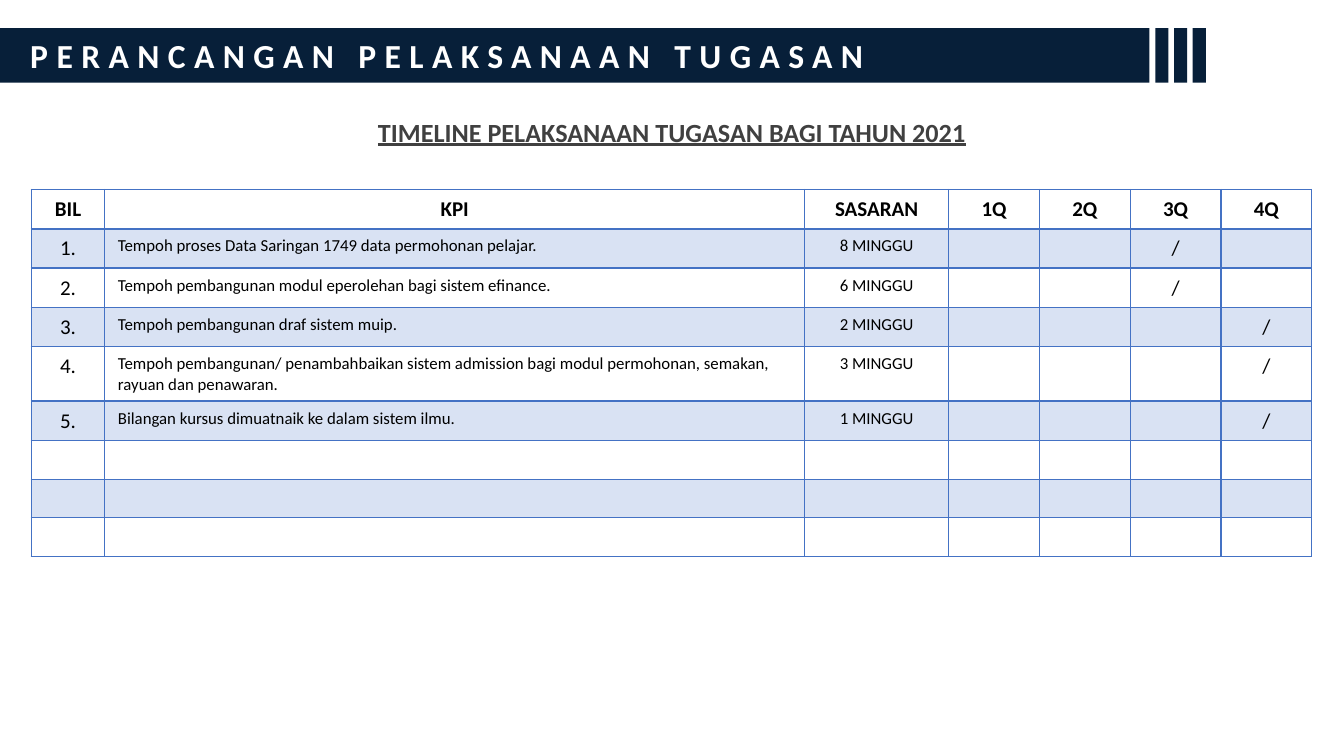
import pptx
import pptx.dml.color
import pptx.enum.shapes
import pptx.enum.text
import pptx.oxml.ns
import pptx.util
from lxml import etree

Inches = pptx.util.Inches
Pt = pptx.util.Pt
RGBColor = pptx.dml.color.RGBColor
ALIGN = pptx.enum.text.PP_ALIGN
ANCHOR = pptx.enum.text.MSO_ANCHOR
qn = pptx.oxml.ns.qn

NAVY = RGBColor(0x07, 0x1F, 0x39)
BLUE = RGBColor(0x44, 0x72, 0xC4)
GREY = RGBColor(0x40, 0x40, 0x40)
BLACK = RGBColor(0, 0, 0)
WHITE = RGBColor(0xFF, 0xFF, 0xFF)
FONT = "Calibri"

PAGE_WIDTH, PAGE_HEIGHT = 13.33, 7.5
BANNER_TOP, BANNER_WIDTH, BANNER_HEIGHT = 0.28, 11.4, 0.54
BAR_COUNT, BAR_LEFT, BAR_WIDTH, BAR_STEP = 3, 11.46, 0.13, 0.185
TABLE_LEFT, TABLE_TOP, ROW_HEIGHT = 0.31, 1.88, 0.385

QUARTERS = ["1Q", "2Q", "3Q", "4Q"]
HEADINGS = ["BIL", "KPI", "SASARAN"] + QUARTERS
COLUMN_WIDTHS = [0.73, 6.94, 1.43] + [0.9] * len(QUARTERS)
ROW_COUNT = 8
# Task, target in weeks, quarter due
TASKS = [
    ("Tempoh proses Data Saringan 1749 data permohonan pelajar.", 8, "3Q"),
    ("Tempoh pembangunan modul eperolehan bagi sistem efinance.", 6, "3Q"),
    ("Tempoh pembangunan draf sistem muip.", 2, "4Q"),
    ("Tempoh pembangunan/ penambahbaikan sistem admission bagi modul "
     "permohonan, semakan, rayuan dan penawaran.", 3, "4Q"),
    ("Bilangan kursus dimuatnaik ke dalam sistem ilmu.", 1, "4Q"),
]


def write(frame, text, size, color, bold=False, align=ALIGN.CENTER):
    para = frame.paragraphs[0]
    para.alignment = align
    para.font.name = FONT
    para.font.size = Pt(size)
    para.font.bold = bold
    para.font.color.rgb = color
    para.add_run().text = text
    return para


def place(box, left, top, width, height):
    box.left, box.top = Inches(left), Inches(top)
    box.width, box.height = Inches(width), Inches(height)


def add_banner(page):
    title = page.shapes.title
    place(title, 0, BANNER_TOP, BANNER_WIDTH, BANNER_HEIGHT)
    title.fill.solid()
    title.fill.fore_color.rgb = NAVY
    frame = title.text_frame
    frame.auto_size = pptx.enum.text.MSO_AUTO_SIZE.NONE
    frame.vertical_anchor = ANCHOR.MIDDLE
    para = write(frame, "PERANCANGAN PELAKSANAAN TUGASAN", 24, WHITE, True, ALIGN.LEFT)
    properties = para._p.get_or_add_pPr()
    properties.set("marL", str(Inches(0.2)))
    properties.set("indent", "0")
    para.runs[0]._r.get_or_add_rPr().set("spc", "600")


def add_bars(page):
    for index in range(BAR_COUNT):
        bar = page.shapes.add_shape(
            pptx.enum.shapes.MSO_SHAPE.RECTANGLE,
            Inches(BAR_LEFT + index * BAR_STEP), Inches(BANNER_TOP),
            Inches(BAR_WIDTH), Inches(BANNER_HEIGHT))
        bar.shadow.inherit = False
        bar.fill.solid()
        bar.fill.fore_color.rgb = NAVY
        bar.line.fill.background()


def add_subtitle(page):
    box = page.shapes.add_textbox(0, Inches(0.95), Inches(PAGE_WIDTH), Inches(0.71))
    frame = box.text_frame
    frame.word_wrap = True
    frame.vertical_anchor = ANCHOR.MIDDLE
    para = write(frame, "TIMELINE PELAKSANAAN TUGASAN BAGI TAHUN 2021", 18.7, GREY, True)
    para.font.underline = True


def set_borders(cell, top, bottom):
    properties = cell._tc.get_or_add_tcPr()
    for side, width in (("L", 1), ("R", 1), ("T", top), ("B", bottom)):
        line = etree.SubElement(properties, qn(f"a:ln{side}"), w=str(Pt(width)))
        fill = etree.SubElement(line, qn("a:solidFill"))
        etree.SubElement(fill, qn("a:srgbClr"), val=str(BLUE))


def set_band(cell, shaded):
    if not shaded:
        cell.fill.background()
        return
    cell.fill.solid()
    cell.fill.fore_color.rgb = BLUE
    color = cell._tc.tcPr.find(qn("a:solidFill")).find(qn("a:srgbClr"))
    etree.SubElement(color, qn("a:alpha"), val="20000")


def fill_cell(cell, text, row, column):
    header = row == 0
    set_borders(cell, 2 if row == 1 else 1, 2 if header else 1)
    set_band(cell, row % 2 == 1)
    cell.margin_left = cell.margin_right = Inches(0.13)
    cell.margin_top = cell.margin_bottom = Inches(0.07 if text else 0.02)
    if not text:
        return
    cell.vertical_anchor = ANCHOR.MIDDLE if header else ANCHOR.TOP
    size = 12 if not header and column in (1, 2) else 15
    align = ALIGN.LEFT if not header and column == 1 else ALIGN.CENTER
    write(cell.text_frame, text, size, BLACK, header, align)


def add_timeline(page):
    rows = [HEADINGS]
    for number, (task, weeks, due) in enumerate(TASKS, 1):
        marks = ["/" if quarter == due else "" for quarter in QUARTERS]
        rows.append([f"{number}.", task, f"{weeks} MINGGU"] + marks)
    rows += [[""] * len(HEADINGS)] * (ROW_COUNT - len(TASKS))

    table = page.shapes.add_table(
        len(rows), len(HEADINGS), Inches(TABLE_LEFT), Inches(TABLE_TOP),
        Inches(sum(COLUMN_WIDTHS)), Inches(ROW_HEIGHT * len(rows))).table
    table.first_row = table.horz_banding = False
    for column, width in zip(table.columns, COLUMN_WIDTHS):
        column.width = Inches(width)
    for row, texts in enumerate(rows):
        table.rows[row].height = Inches(ROW_HEIGHT)
        for column, text in enumerate(texts):
            fill_cell(table.cell(row, column), text, row, column)


def main():
    deck = pptx.Presentation()
    deck.slide_width = Inches(PAGE_WIDTH)
    deck.slide_height = Inches(PAGE_HEIGHT)
    page = deck.slides.add_slide(deck.slide_layouts[5])
    # Heading strip
    add_banner(page)
    add_bars(page)
    # Yearly timeline
    add_subtitle(page)
    add_timeline(page)
    deck.save("out.pptx")


if __name__ == "__main__":
    main()
